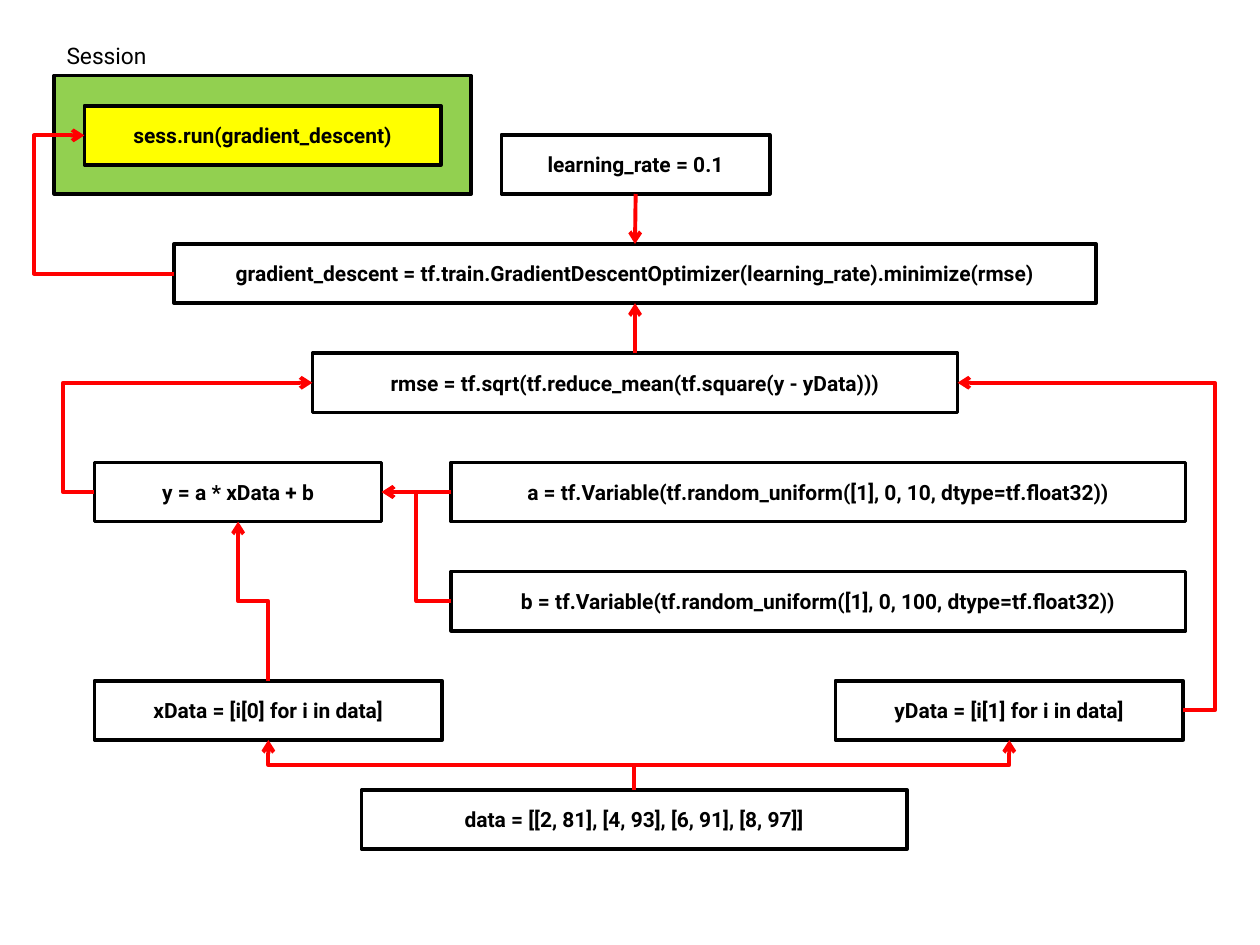
from pptx import Presentation
from pptx.dml.color import RGBColor
from pptx.enum.shapes import MSO_CONNECTOR, MSO_SHAPE
from pptx.enum.text import MSO_ANCHOR, MSO_AUTO_SIZE, PP_ALIGN
from pptx.oxml.ns import qn
from pptx.util import Inches, Pt
from lxml.etree import SubElement

BLACK = RGBColor(0x00, 0x00, 0x00)
RED = RGBColor(0xFF, 0x00, 0x00)
GREEN = RGBColor(0x92, 0xD0, 0x50)
YELLOW = RGBColor(0xFF, 0xFF, 0x00)

# Connection sites of a rectangle
TOP, LEFT, BOTTOM, RIGHT = range(4)

HIGH = 0.47        # height of a code box
FIRST = 1.07       # top of the first row
STEP = 5.2 / 6     # distance between rows


def row(n):
    return FIRST + n * STEP


def put(item, values):
    for name, value in values.items():
        setattr(item, name, value)


class Chart:
    """Flow chart style and the slide it is drawn on."""
    font = {"name": "Roboto", "size": Pt(12), "bold": True}
    label_font = {"name": "Roboto", "size": Pt(13), "bold": False}
    frame = {"vertical_anchor": MSO_ANCHOR.MIDDLE, "word_wrap": True}
    label_frame = {"word_wrap": False,
                   "auto_size": MSO_AUTO_SIZE.SHAPE_TO_FIT_TEXT}

    def __init__(self, slide):
        self.slide = slide

    def fill_text(self, shape, text, font, frame):
        put(shape.text_frame, frame)
        para = shape.text_frame.paragraphs[0]
        run = para.add_run()
        run.text = text
        put(run.font, font)
        run.font.color.rgb = BLACK
        return para

    def label(self, text, x, y, w, h):
        box = self.slide.shapes.add_textbox(*map(Inches, (x, y, w, h)))
        self.fill_text(box, text, self.label_font, self.label_frame)

    def box(self, text, x, y, w, h=HIGH, fill=None):
        box = self.slide.shapes.add_shape(
            MSO_SHAPE.RECTANGLE, *map(Inches, (x, y, w, h)))
        box.shadow.inherit = False
        if fill is None:
            box.fill.background()
        else:
            box.fill.solid()
            box.fill.fore_color.rgb = fill
        box.line.color.rgb = BLACK
        box.line.width = Pt(2)
        if text:
            para = self.fill_text(box, text, self.font, self.frame)
            para.alignment = PP_ALIGN.CENTER
        return box

    def link(self, kind, start, out, end, into):
        line = self.slide.shapes.add_connector(kind, 0, 0, 0, 0)
        line.begin_connect(start, out)
        line.end_connect(end, into)
        line.line.color.rgb = RED
        line.line.width = Pt(2.25)
        props = line.element.spPr
        SubElement(props.find(qn("a:ln")), qn("a:tailEnd"), type="arrow")
        SubElement(props, qn("a:effectLst"))
        return line

    def arrow(self, *ends):
        self.link(MSO_CONNECTOR.STRAIGHT, *ends)

    def side(self, *ends, bend=None):
        """Elbow that leaves sideways and turns at x = bend."""
        line = self.link(MSO_CONNECTOR.ELBOW, *ends)
        if bend is not None:
            part = (Inches(bend) - line.begin_x) / (line.end_x - line.begin_x)
            guides = line.element.spPr.find(qn("a:prstGeom")).get_or_add_avLst()
            SubElement(guides, qn("a:gd"), name="adj1",
                       fmla=f"val {round(part * 100000)}")

    def rise(self, start, end):
        """Elbow that leaves upward and turns halfway: a side elbow on end."""
        line = self.link(MSO_CONNECTOR.ELBOW, start, TOP, end, BOTTOM)
        dx, dy = line.end_x - line.begin_x, line.end_y - line.begin_y
        mid_x = (line.begin_x + line.end_x) // 2
        mid_y = (line.begin_y + line.end_y) // 2
        put(line, {"begin_x": mid_x + dy // 2, "end_x": mid_x - dy // 2,
                   "begin_y": mid_y - dx // 2, "end_y": mid_y + dx // 2,
                   "rotation": 270})


def main():
    deck = Presentation()
    put(deck, {"slide_width": Inches(10), "slide_height": Inches(7.5)})
    chart = Chart(deck.slides.add_slide(deck.slide_layouts[6]))

    # Session
    chart.box("", 0.43, 0.6, 3.31, 0.94, GREEN)
    chart.label("Session", 0.43, 0.28, 0.84, 0.32)
    run = chart.box("sess.run(gradient_descent)", 0.67, 0.84, 2.83, fill=YELLOW)

    # Code boxes, from the top row down
    rate = chart.box("learning_rate = 0.1", 3.98, row(0), 2.13)
    train = chart.box("gradient_descent = tf.train.GradientDescentOptimizer"
                      "(learning_rate).minimize(rmse)", 1.38, row(1), 7.32)
    rmse = chart.box("rmse = tf.sqrt(tf.reduce_mean(tf.square(y - yData)))",
                     2.48, row(2), 5.12)
    model = chart.box("y = a * xData + b", 0.75, row(3), 2.28)
    slope, shift = [
        chart.box(f"{name} = tf.Variable(tf.random_uniform([1], 0, {top}, "
                  "dtype=tf.float32))", 3.58, row(n), 5.83)
        for name, top, n in (("a", 10, 3), ("b", 100, 4))]
    xs, ys = [
        chart.box(f"{name} = [i[{n}] for i in data]", x, row(5), 2.76)
        for n, (name, x) in enumerate((("xData", 0.75), ("yData", 6.63)))]
    data = chart.box("data = [[2, 81], [4, 93], [6, 91], [8, 97]]",
                     2.87, row(6), 4.33)

    # Straight arrows
    chart.arrow(rate, BOTTOM, train, TOP)
    chart.arrow(rmse, TOP, train, BOTTOM)
    chart.arrow(slope, LEFT, model, RIGHT)

    # Elbow arrows
    chart.side(train, LEFT, run, LEFT, bend=0.27)
    chart.side(model, LEFT, rmse, LEFT, bend=0.5)
    chart.side(shift, LEFT, model, RIGHT)
    chart.side(ys, RIGHT, rmse, RIGHT, bend=9.64)
    for start, end in ((xs, model), (data, xs), (data, ys)):
        chart.rise(start, end)

    deck.save("out.pptx")


if __name__ == "__main__":
    main()
